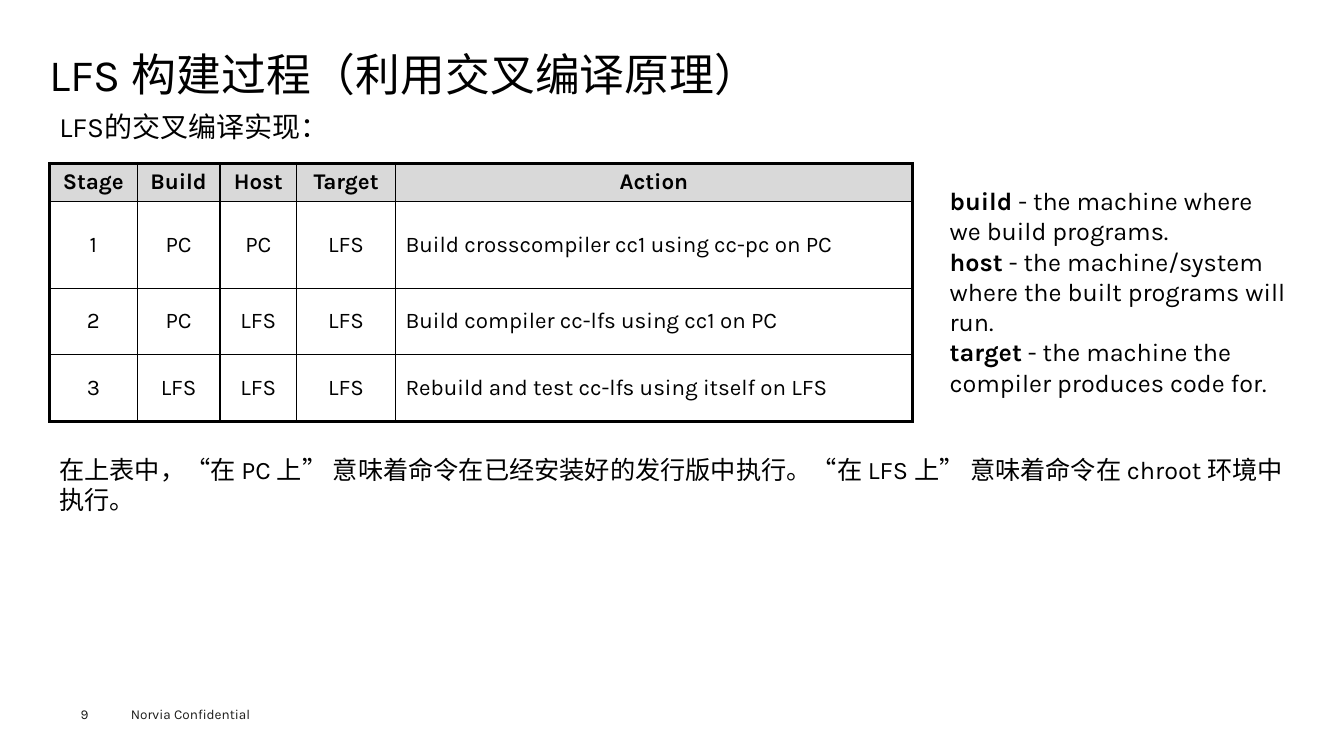
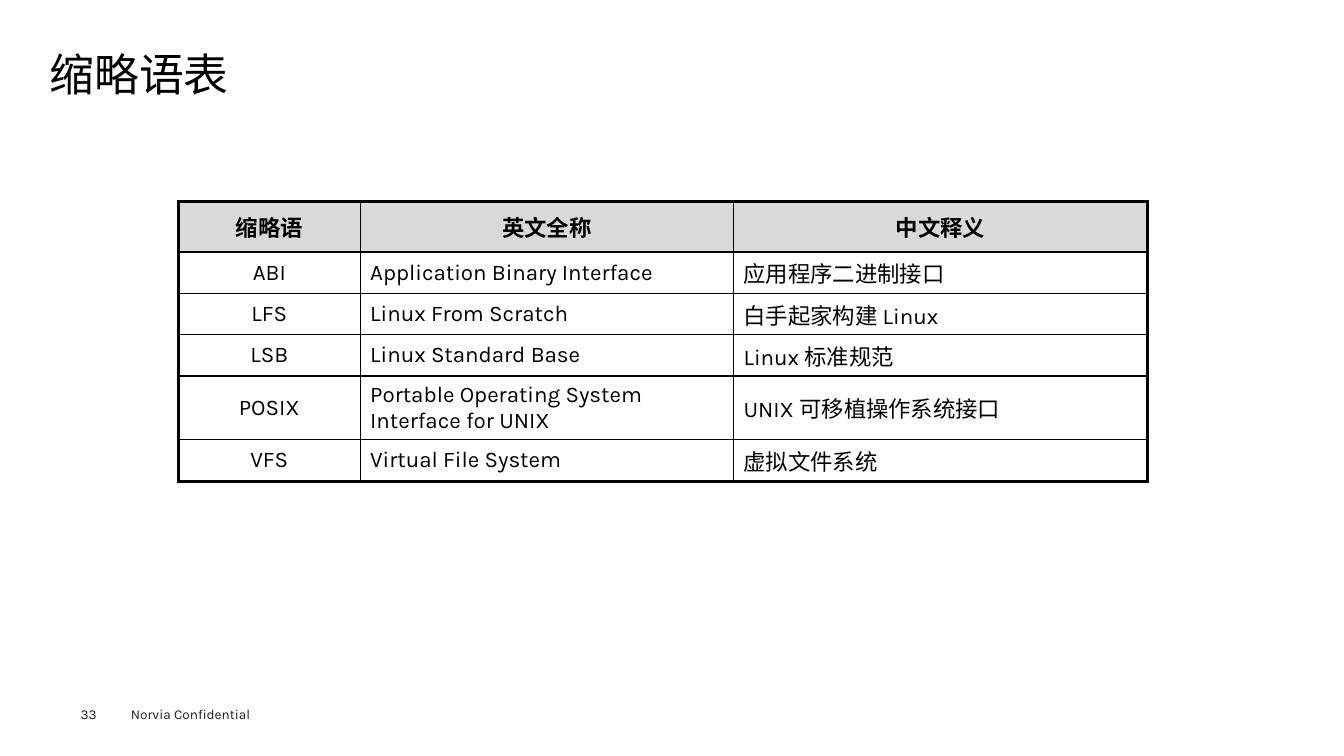
import lxml.etree
import pptx
import pptx.dml.color
import pptx.enum.text
import pptx.oxml.ns
import pptx.util

# Shared style
FONT = "Karla"
BLACK, FOOTER_GREY, HEADER_GREY = "000000", "1D1D1B", "D9D9D9"
TITLE_SIZE, SUBTITLE_SIZE, BODY_SIZE, TABLE_SIZE, FOOTER_SIZE = 32, 20, 18, 16, 9.7
OUTER_LINE, INNER_LINE = 2.25, 1
CENTER = pptx.enum.text.PP_ALIGN.CENTER
LEFT = pptx.enum.text.PP_ALIGN.LEFT
MIDDLE = pptx.enum.text.MSO_ANCHOR.MIDDLE
TOP = pptx.enum.text.MSO_ANCHOR.TOP

SLIDE_WIDTH = pptx.util.Inches(13.33)
SLIDE_HEIGHT = pptx.util.Inches(7.5)

# Boxes: left, top, width, height in percent of the slide
MARGIN, CONTENT_WIDTH = 3.68, 92.65
TITLE_BOX = (MARGIN, 6.53, CONTENT_WIDTH, 7.2)
PAGE_NUMBER_BOX = (6, 93.33, 4.13, 2.13)
FOOTER_BOX = (9, 92.67, 12, 3.6)
SUBTITLE_BOX = (MARGIN, 13.87, 45.46, 5.87)
STAGES_BOX = (MARGIN, 21.6, 64.2, 34.13)
TERMS_BOX = (69.92, 23.87, 26.48, 29.6)
NOTE_BOX = (MARGIN, 59.47, CONTENT_WIDTH, 9.47)
GLOSSARY_BOX = (13.28, 26.67, 72.09, 36.8)

STAGES = [
    ("Stage", "Build", "Host", "Target", "Action"),
    ("1", "PC", "PC", "LFS", "Build crosscompiler cc1 using cc-pc on PC"),
    ("2", "PC", "LFS", "LFS", "Build compiler cc-lfs using cc1 on PC"),
    ("3", "LFS", "LFS", "LFS", "Rebuild and test cc-lfs using itself on LFS"),
]
TERMS = [
    ("build", " - the machine where we build programs."),
    ("host", " - the machine/system where the built programs will run."),
    ("target", " - the machine the compiler produces code for."),
]
GLOSSARY = [
    ("缩略语", "英文全称", "中文释义"),
    ("ABI", "Application Binary Interface", "应用程序二进制接口"),
    ("LFS", "Linux From Scratch", "白手起家构建 Linux"),
    ("LSB", "Linux Standard Base", "Linux 标准规范"),
    ("POSIX", "Portable Operating System Interface for UNIX", "UNIX 可移植操作系统接口"),
    ("VFS", "Virtual File System", "虚拟文件系统"),
]


def color(hex_string):
    return pptx.dml.color.RGBColor.from_string(hex_string)


def place(box):
    """Turn a box in percent of the slide into lengths."""
    extents = (SLIDE_WIDTH, SLIDE_HEIGHT) * 2
    return [pptx.util.Emu(round(share * extent / 100)) for share, extent in zip(box, extents)]


def style_paragraph(paragraph, size, hex_string=BLACK, bold=None):
    font = paragraph.font
    font.name, font.size, font.bold = FONT, pptx.util.Pt(size), bold
    font.color.rgb = color(hex_string)


def add_text(slide, box, paragraphs, size, hex_string=BLACK, inset=True, anchor=TOP):
    """Add a text box; a paragraph is a string or a (bold lead, rest) pair."""
    frame = slide.shapes.add_textbox(*place(box)).text_frame
    frame.word_wrap = True
    frame.vertical_anchor = anchor
    if not inset:
        frame.margin_left = frame.margin_right = frame.margin_top = frame.margin_bottom = 0
    for index, content in enumerate(paragraphs):
        paragraph = frame.add_paragraph() if index else frame.paragraphs[0]
        style_paragraph(paragraph, size, hex_string)
        if isinstance(content, str):
            paragraph.add_run().text = content
        else:
            for text, bold in zip(content, (True, False)):
                run = paragraph.add_run()
                run.text, run.font.bold = text, bold
    return frame


def set_border(cell, side, width):
    properties = cell._tc.get_or_add_tcPr()
    qualified = pptx.oxml.ns.qn
    line = lxml.etree.SubElement(
        properties, qualified(f"a:ln{side}"), w=str(pptx.util.Pt(width)))
    fill = lxml.etree.SubElement(line, qualified("a:solidFill"))
    lxml.etree.SubElement(fill, qualified("a:srgbClr"), val=BLACK)


def add_grid_table(slide, box, records, column_weights, row_weights, centered_columns):
    """Add a table with a grey header, a heavy frame and thin inner lines."""
    left, top, width, height = place(box)
    last_row, last_column = len(records) - 1, len(records[0]) - 1
    table = slide.shapes.add_table(
        last_row + 1, last_column + 1, left, top, width, height).table
    table.horz_banding = False
    for column, weight in zip(table.columns, column_weights):
        column.width = round(width * weight / sum(column_weights))
    for row, weight in zip(table.rows, row_weights):
        row.height = round(height * weight / sum(row_weights))

    for row_index, record in enumerate(records):
        is_header = row_index == 0
        for column_index, text in enumerate(record):
            cell = table.cell(row_index, column_index)
            cell.text = text
            cell.vertical_anchor = MIDDLE
            paragraph = cell.text_frame.paragraphs[0]
            centered = is_header or column_index < centered_columns
            paragraph.alignment = CENTER if centered else LEFT
            style_paragraph(paragraph, TABLE_SIZE, bold=is_header)
            on_frame = {
                "L": column_index == 0,
                "R": column_index == last_column,
                "T": is_header,
                "B": row_index == last_row,
            }
            for side, outer in on_frame.items():
                set_border(cell, side, OUTER_LINE if outer else INNER_LINE)
            if is_header:
                cell.fill.solid()
                cell.fill.fore_color.rgb = color(HEADER_GREY)
            else:
                cell.fill.background()


def add_base_slide(presentation, title, page_number):
    """Add a blank slide with the shared title and footer."""
    slide = presentation.slides.add_slide(presentation.slide_layouts[6])
    add_text(slide, FOOTER_BOX, ["Norvia Confidential"], FOOTER_SIZE, FOOTER_GREY)
    add_text(slide, PAGE_NUMBER_BOX, [page_number], FOOTER_SIZE, FOOTER_GREY, inset=False)
    frame = add_text(slide, TITLE_BOX, [title], TITLE_SIZE, inset=False, anchor=MIDDLE)
    frame.paragraphs[0].line_spacing = 0.9
    return slide


def add_build_slide(presentation):
    slide = add_base_slide(presentation, "LFS 构建过程（利用交叉编译原理）", "9")
    add_text(slide, SUBTITLE_BOX, ["LFS的交叉编译实现："], SUBTITLE_SIZE)
    # Build stages, with the terms explained beside them
    add_grid_table(slide, STAGES_BOX, STAGES, (0.87, 0.82, 0.76, 0.98, 5.12),
                   (0.38, 0.86, 0.66, 0.66), centered_columns=4)
    add_text(slide, TERMS_BOX, TERMS, BODY_SIZE)
    # Note below the table
    note = ("在上表中，“在 PC 上” 意味着命令在已经安装好的发行版中执行。"
            "“在 LFS 上” 意味着命令在 chroot 环境中执行。")
    add_text(slide, NOTE_BOX, [note], BODY_SIZE)


def add_glossary_slide(presentation):
    slide = add_base_slide(presentation, "缩略语表", "33")
    add_grid_table(slide, GLOSSARY_BOX, GLOSSARY, (1.8, 3.7, 4.1),
                   (0.5, 0.41, 0.41, 0.41, 0.62, 0.41), centered_columns=1)


def main():
    presentation = pptx.Presentation()
    presentation.slide_width = SLIDE_WIDTH
    presentation.slide_height = SLIDE_HEIGHT
    add_build_slide(presentation)
    add_glossary_slide(presentation)
    presentation.save("out.pptx")


if __name__ == "__main__":
    main()
